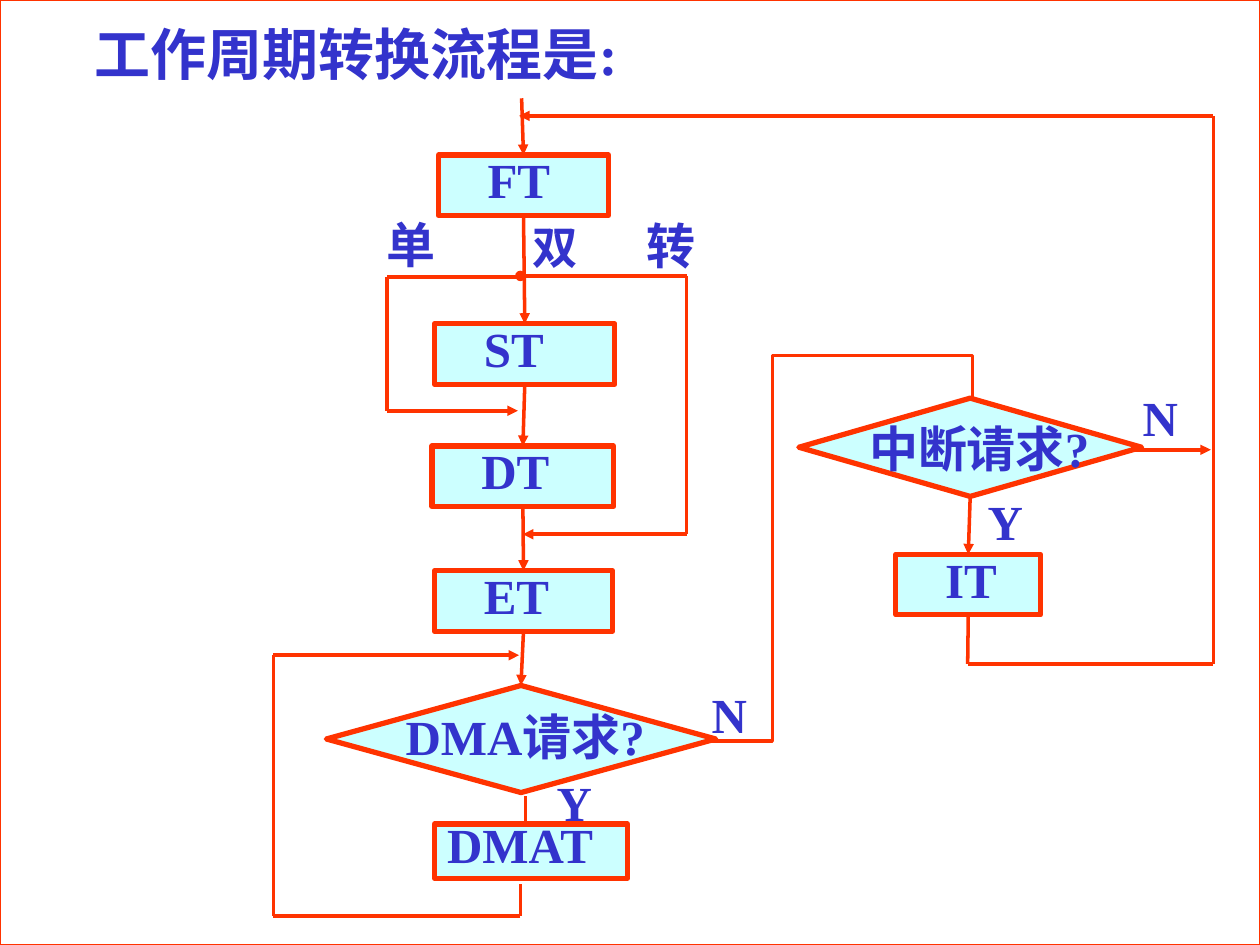
from itertools import pairwise
from pptx import Presentation
from pptx.dml.color import RGBColor
from pptx.enum.shapes import MSO_CONNECTOR, MSO_SHAPE
from pptx.enum.text import MSO_ANCHOR, PP_ALIGN
from pptx.oxml.ns import qn
from pptx.util import Pt
from lxml.etree import SubElement

PX = 9144
WHITE = RGBColor(0xFF, 0xFF, 0xFF)
RED = RGBColor(0xFF, 0x33, 0x00)
CYAN = RGBColor(0xCC, 0xFF, 0xFF)
BLUE = RGBColor(0x33, 0x33, 0xCC)
FONT = "Times New Roman"
TOP, BOTTOM = 0, 2
INSET, INDENT = 10, 39

STEPS = {
    "FT": (348, 123, 135, 48, INDENT, 0.8),
    "ST": (345, 257, 143, 48, INDENT, 0.8),
    "DT": (343, 354, 144, 48, INDENT, 0.8),
    "ET": (345, 453, 141, 48, INDENT, 0.8),
    "IT": (711, 440, 115, 48, INDENT, 0.8),
    "DMAT": (345, 654, 153, 43, INSET, 0.7),
}
DECISIONS = {
    "DMA请求?": (259, 544, 309, 85),
    "中断请求?": (634, 316, 272, 78),
}
LABELS = [
    ("工作周期转换流程是:", 65, 11, 538, 64, 32),
    ("DMA请求?", 312, 556, 251, 57, 28),
    ("中断请求?", 680, 327, 207, 57, 28),
    ("单", 297, 165, 93, 57, 28),
    ("双", 413, 169, 60, 54, 26),
    ("转", 503, 166, 80, 57, 28),
    ("N", 555, 538, 75, 57, 28),
    ("Y", 432, 608, 75, 57, 28),
    ("N", 897, 303, 75, 57, 28),
    ("Y", 774, 385, 75, 57, 28),
]
ROUTES = [
    ([(414, 78), ("FT", TOP)], None, "triangle"),
    ([("FT", BOTTOM), ("ST", TOP)], None, "triangle"),
    ([("ST", BOTTOM), ("DT", TOP)], None, "triangle"),
    ([("DT", BOTTOM), ("ET", TOP)], None, "triangle"),
    ([("ET", BOTTOM), ("DMA请求?", TOP)], None, "triangle"),
    ([("中断请求?", BOTTOM), ("IT", TOP)], None, "triangle"),
    ([(417, 632), (417, 652)], None, None),
    ([(413, 219), (545, 219), (545, 424), (415, 424)], "oval", "triangle"),
    ([(414, 220), (307, 220), (307, 326), (411, 326)], None, "triangle"),
    ([("IT", BOTTOM), (768, 527), (963, 527), (963, 92), (412, 92)], None, "triangle"),
    ([(896, 357), (961, 357)], None, "triangle"),
    ([(413, 702), (413, 727), (217, 727), (217, 520), (412, 520)], None, "triangle"),
]
DMA_NO_PATH = [(562, 588), (613, 588), (613, 282), (772, 282), (772, 317)]


def add_box(page, kind, frame, fill, line_width):
    box = page.shapes.add_shape(kind, *(value * PX for value in frame))
    box.shadow.inherit = False
    box.fill.solid()
    box.fill.fore_color.rgb = fill
    box.line.color.rgb = RED
    box.line.width = Pt(line_width)
    return box


def write(box, text, size, left=INSET, spacing=None):
    frame = box.text_frame
    frame.word_wrap = True
    frame.vertical_anchor = MSO_ANCHOR.TOP
    frame.margin_left = left * PX
    frame.text = text
    para = frame.paragraphs[0]
    para.alignment = PP_ALIGN.LEFT
    para.line_spacing = spacing
    font = para.runs[0].font
    font.name, font.size, font.bold = FONT, Pt(size), True
    font.color.rgb = BLUE


def add_line(page, nodes, start, end, head, tail):
    joined = [point[0] in nodes for point in (start, end)]
    places = [(0, 0) if join else point for point, join in zip((start, end), joined)]
    line = page.shapes.add_connector(
        MSO_CONNECTOR.STRAIGHT, *(value * PX for place in places for value in place))
    if joined[0]:
        line.begin_connect(nodes[start[0]], start[1])
    if joined[1]:
        line.end_connect(nodes[end[0]], end[1])
    line.line.color.rgb = RED
    line.line.width = Pt(2)
    outline = line.line._get_or_add_ln()
    for tag, mark in (("a:headEnd", head), ("a:tailEnd", tail)):
        if mark:
            SubElement(outline, qn(tag), type=mark)
    SubElement(line._element.spPr, qn("a:effectLst"))


def main():
    deck = Presentation()
    deck.slide_width, deck.slide_height = 1000 * PX, 750 * PX
    page = deck.slides.add_slide(deck.slide_layouts[6])
    add_box(page, MSO_SHAPE.RECTANGLE, (0, 0, 1000, 750), WHITE, 0.75)

    nodes = {}
    for name, (*frame, left, spacing) in STEPS.items():
        nodes[name] = add_box(page, MSO_SHAPE.RECTANGLE, frame, CYAN, 3)
        write(nodes[name], name, 28, left, spacing)
    for name, frame in DECISIONS.items():
        nodes[name] = add_box(page, MSO_SHAPE.FLOWCHART_DECISION, frame, CYAN, 3)

    for points, head, tail in ROUTES:
        last = len(points) - 2
        for index, (start, end) in enumerate(pairwise(points)):
            add_line(page, nodes, start, end,
                     head if index == 0 else None, tail if index == last else None)

    builder = page.shapes.build_freeform(*DMA_NO_PATH[0], scale=PX)
    builder.add_line_segments(DMA_NO_PATH[1:], close=False)
    branch = builder.convert_to_shape()
    branch.shadow.inherit = False
    branch.fill.background()
    branch.line.color.rgb = RED
    branch.line.width = Pt(2)

    for text, *frame, size in LABELS:
        write(page.shapes.add_textbox(*(value * PX for value in frame)), text, size)
    deck.save("out.pptx")


if __name__ == "__main__":
    main()
